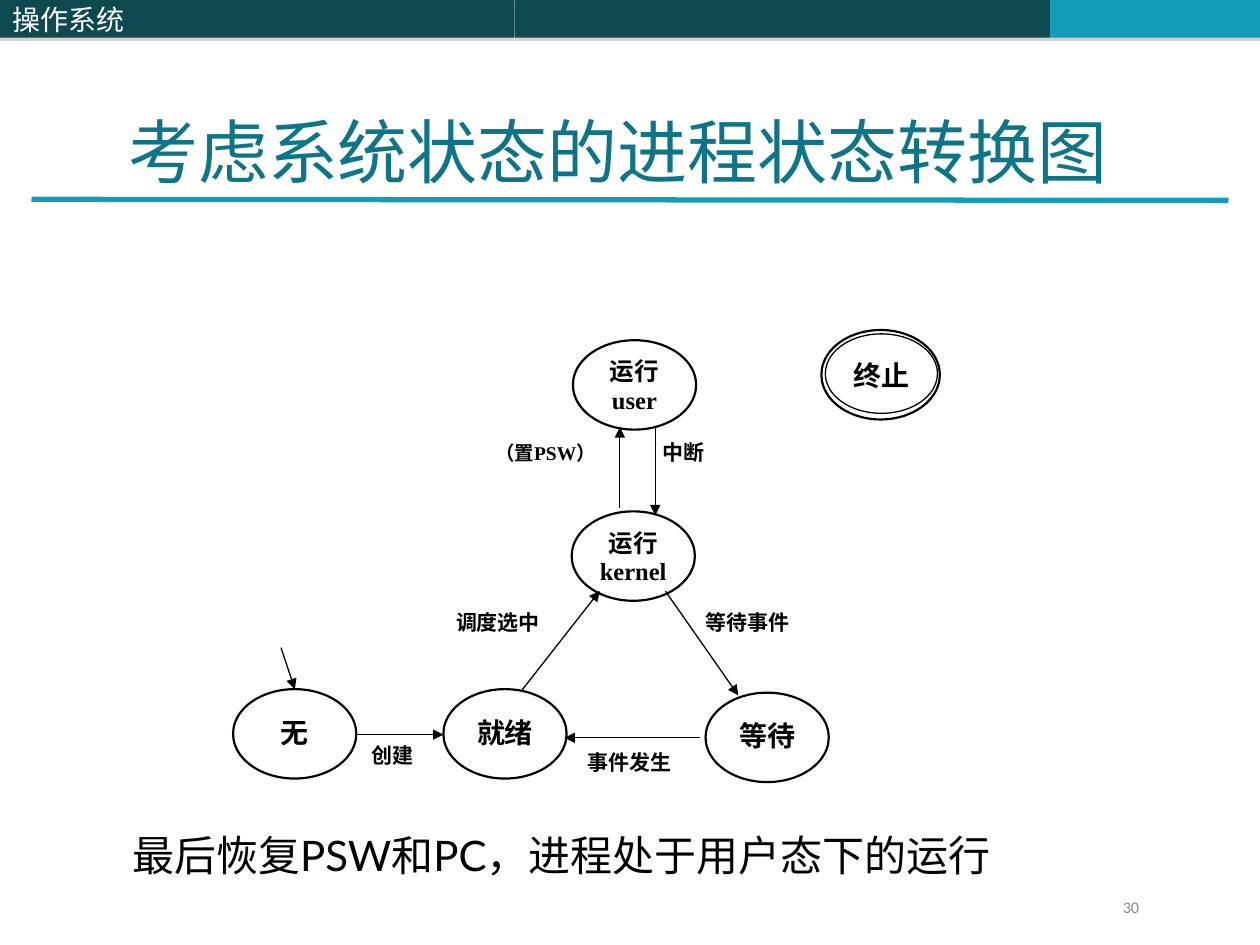
from lxml import etree
from pptx import Presentation
from pptx.dml.color import RGBColor
from pptx.enum.shapes import MSO_CONNECTOR, MSO_SHAPE
from pptx.enum.text import MSO_ANCHOR, PP_ALIGN
from pptx.oxml import parse_xml
from pptx.oxml.ns import nsdecls, qn
from pptx.util import Pt

RECT, OVAL = MSO_SHAPE.RECTANGLE, MSO_SHAPE.OVAL
LINE = MSO_CONNECTOR.STRAIGHT
TOP, MIDDLE = MSO_ANCHOR.TOP, MSO_ANCHOR.MIDDLE
LEFT, RIGHT = PP_ALIGN.LEFT, PP_ALIGN.RIGHT
CENTER, JUSTIFY = PP_ALIGN.CENTER, PP_ALIGN.JUSTIFY

THEME = {
    "dark": "0E4851", "teal": "139CB7", "title": "0E7589",
    "black": "000000", "white": "FFFFFF", "gray": "898989",
    "serif": "Times New Roman", "sans": "Lato", "num": "Calibri",
    "cjk": "Noto Sans CJK SC",
    "head": 16, "big": 40, "body": 24, "state": 16, "pair": 14,
    "label": 12, "small": 11.1, "page": 9.3,
    "thin": 0.75, "edge": 1.25, "rule": 3,
}

# Places are left, top, width, height in points.
BARS = [
    ("", (294, 0, 306, 21.6), "dark"),
    ("", (600, 0, 120, 21.6), "teal"),
    ("操作系统", (0, 0, 294, 21.6), "dark"),
]
RULE = (18, 113.9, 702, 114.5)
# Text, left, top, width, size, line spacing
LABELS = [
    ("等待事件", 401.8, 347.8, 57.6, "label", 1),
    ("调度选中", 259.2, 347.8, 56.2, "label", 1),
    ("中断", 377.3, 250.6, 33.1, "label", 1),
    ("（置PSW）", 281.5, 252.7, 69.1, "small", 0.9),
    ("事件发生", 334.1, 427.7, 59, "label", 1),
    ("创建", 211, 423.4, 34.6, "label", 1),
]
LABEL_H = 23.8
# Text, left, top
STATES = [
    ("运行\nuser", 327.4, 194.4),
    ("运行\nkernel", 326.7, 292.2),
    ("等待", 403.2, 395.8),
    ("就绪", 253.4, 393.8),
    ("无", 133.2, 393.8),
]
STATE_W, STATE_H = 70.4, 51.1
END = ("终止", (471.6, 190.8, 64.1, 45.4), (469.4, 188.6, 67.7, 51.1))
ARROWS = [
    (374.4, 244.1, 374.4, 294.5),
    (354.2, 290.2, 354.2, 244.1),
    (380.2, 337.7, 421.9, 397.4),
    (298.1, 394.6, 342.7, 337.7),
    (400.3, 421.6, 322.6, 421.6),
    (203.8, 419.8, 253.4, 419.8),
    (160.6, 370.1, 168.5, 393.8),
]
# Text, place, size, font, colour, alignment, line spacing
TEXTS = [
    ("最后恢复PSW和PC，进程处于用户态下的运行", (68.4, 470.2, 620, 36),
     "body", "sans", "black", LEFT, 1),
    ("考虑系统状态的进程状态转换图", (66.2, 58.3, 592, 55.4),
     "big", "serif", "title", LEFT, 1),
    ("30", (540, 511.2, 118, 19.4), "page", "num", "gray", RIGHT, 0.8),
]
PAD = (7.2, 3.6, 7.2, 3.6)
LABEL_PAD = (1.4, 0.7, 1.4, 0.7)
PAIR_PAD = (2.9, 2.9, 2.9, 2.9)
STATE_PAD = (2.9, 8.6, 2.9, 5.8)

prs = Presentation()
prs.slide_width, prs.slide_height = Pt(720), Pt(540)
slide = prs.slides.add_slide(prs.slide_layouts[6])
shapes = slide.shapes


def tint(name):
    return RGBColor.from_string(THEME[name])


def write(shape, text, size, font="serif", color="black", align=LEFT,
          gap=1, pad=PAD, anchor=TOP, bold=False):
    frame = shape.text_frame
    frame.word_wrap = True
    frame.vertical_anchor = anchor
    (frame.margin_left, frame.margin_top,
     frame.margin_right, frame.margin_bottom) = map(Pt, pad)
    frame.text = text
    for para in frame.paragraphs:
        para.alignment, para.line_spacing = align, gap
        for run in para.runs:
            run.font.name, run.font.size = THEME[font], Pt(THEME[size])
            run.font.bold = bold
            run.font.color.rgb = tint(color)


def draw(kind, place, fill=None, line=None, width="thin"):
    shape = shapes.add_shape(kind, *map(Pt, place))
    shape.shadow.inherit = False
    if fill:
        shape.fill.solid()
        shape.fill.fore_color.rgb = tint(fill)
    else:
        shape.fill.background()
    if line:
        shape.line.color.rgb = tint(line)
        shape.line.width = Pt(THEME[width])
    else:
        shape.line.fill.background()
    return shape


def shade(shape):
    """Give a bar its faint shadow straight below."""
    effects = shape._element.spPr.find(qn("a:effectLst"))
    effects.append(parse_xml(
        f'<a:outerShdw {nsdecls("a")} blurRad="0" dist="{Pt(1.8)}" '
        'dir="5400000" algn="ctr" rotWithShape="0"><a:srgbClr val="808080">'
        '<a:alpha val="35000"/></a:srgbClr></a:outerShdw>'))


def link(ends, color, width, arrow=True):
    line = shapes.add_connector(LINE, *map(Pt, ends))
    line.line.color.rgb = tint(color)
    line.line.width = Pt(THEME[width])
    if arrow:
        etree.SubElement(line.line._get_or_add_ln(), qn("a:tailEnd"),
                         type="triangle")
    etree.SubElement(line._element.spPr, qn("a:effectLst"))


def state(text, place, width="edge"):
    pair = "\n" in text
    shape = draw(OVAL, place, "white", "black", width)
    write(shape, text, "pair" if pair else "state", align=CENTER, gap=0.96,
          pad=PAIR_PAD if pair else STATE_PAD, bold=True)


for text, place, fill in BARS:
    bar = draw(RECT, place, fill)
    shade(bar)
    if text:
        write(bar, text, "head", "cjk", "white", anchor=MIDDLE)
link(RULE, "teal", "rule", arrow=False)

for text, left, top, width, size, gap in LABELS:
    label = draw(RECT, (left, top, width, LABEL_H), "white", "white")
    write(label, text, size, align=JUSTIFY, gap=gap, pad=LABEL_PAD, bold=True)

for text, left, top in STATES:
    state(text, (left, top, STATE_W, STATE_H))
text, inner, outer = END
state(text, inner, "thin")
draw(OVAL, outer, line="black", width="edge")

for ends in ARROWS:
    link(ends, "black", "thin")

for text, place, size, font, color, align, gap in TEXTS:
    box = shapes.add_textbox(*map(Pt, place))
    write(box, text, size, font, color, align, gap)

prs.save("out.pptx")
